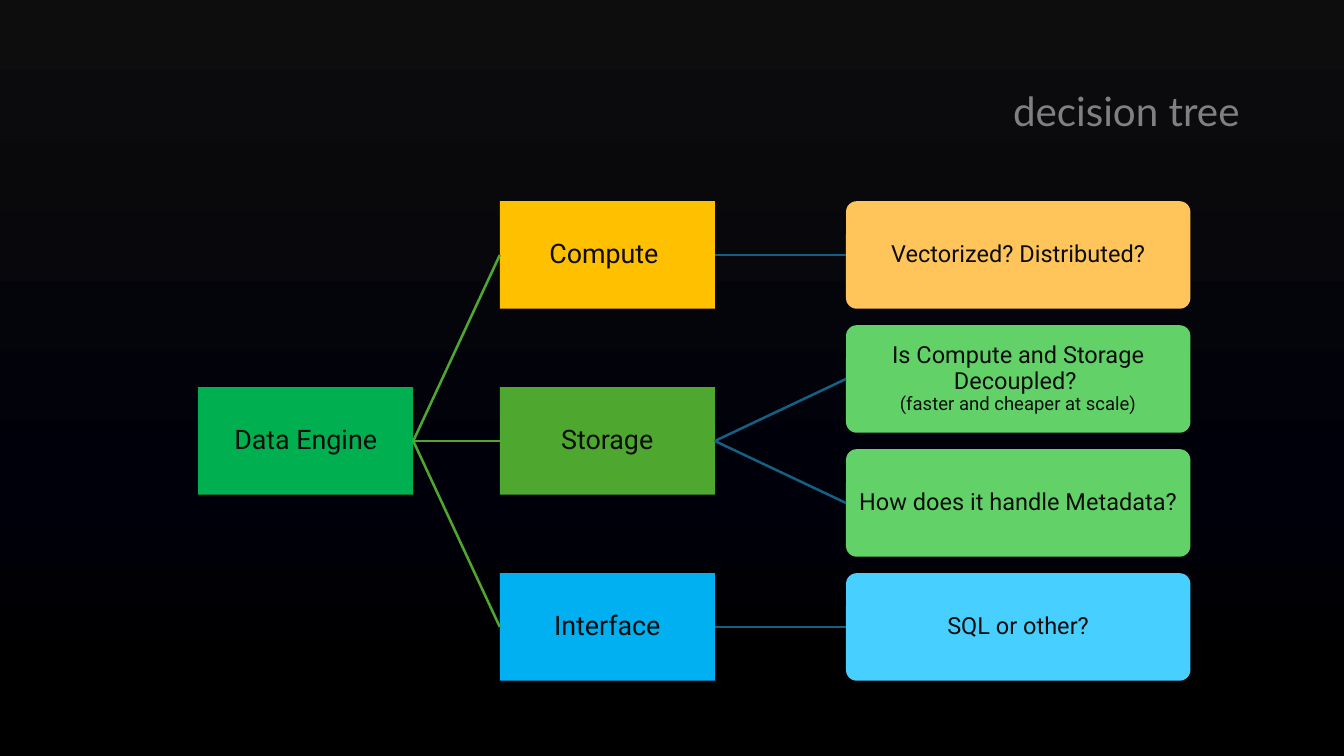
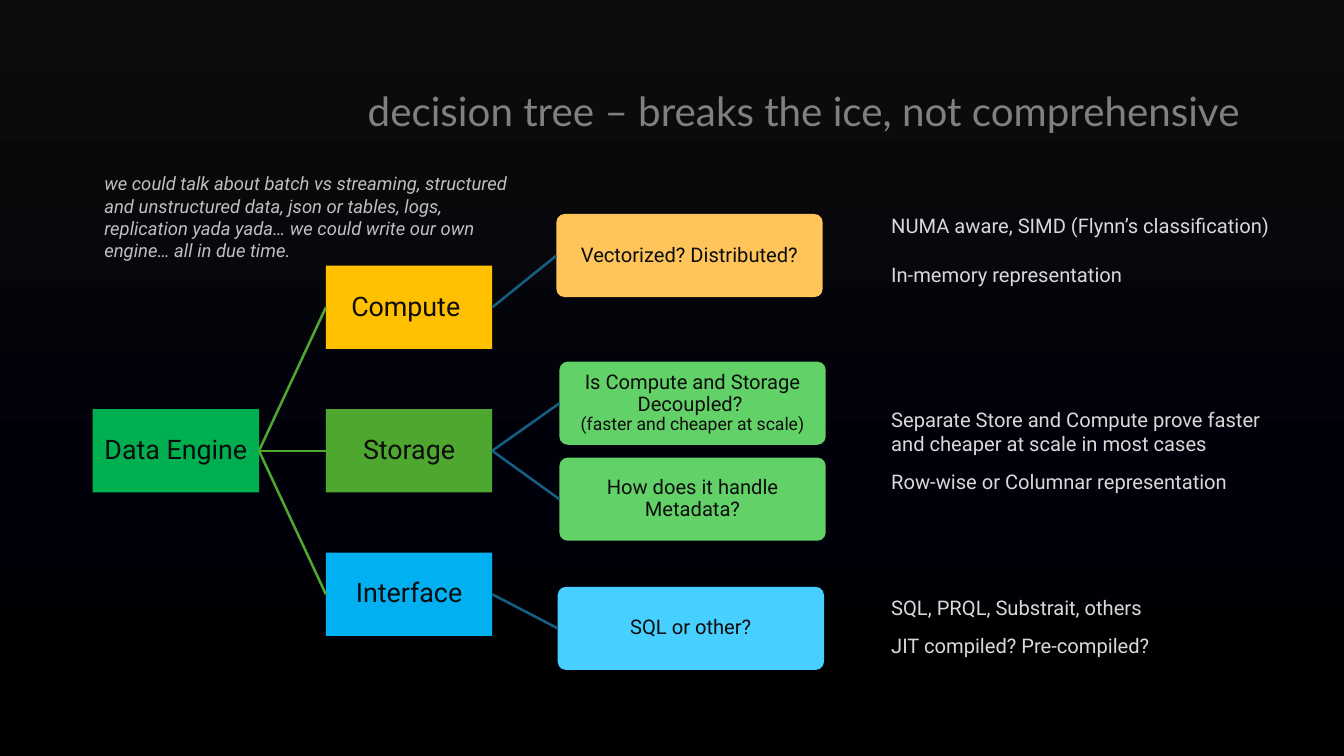
from copy import deepcopy
from lxml.etree import SubElement
from pptx import Presentation
from pptx.dml.color import RGBColor
from pptx.enum.shapes import MSO_CONNECTOR, MSO_SHAPE
from pptx.enum.text import MSO_ANCHOR, PP_ALIGN
from pptx.oxml.ns import qn
from pptx.util import Pt

HUES = {
    "top": "0D0D0D", "mid": "00000A", "low": "000000",
    "title": "808080", "ink": "0D0D0D", "note": "D9D9D9", "aside": "BFBFBF",
    "root": "00B050", "compute": "FFC000", "storage": "4EA72E", "face": "00B0F0",
    "amber": "FFC55B", "mint": "62D268", "sky": "47CFFF",
    "stem": "4EA72E", "twig": "156082",
}
SCALE = "(faster and cheaper at scale)"
# Each branch: label, fill, leaves; each leaf: text, fill, small print
TREE = [
    ("Compute ", "compute", [("Vectorized? Distributed?", "amber", "")]),
    ("Storage", "storage", [
        ("Is Compute and Storage Decoupled? ", "mint", SCALE),
        ("How does it handle Metadata?", "mint", ""),
    ]),
    ("Interface", "face", [("SQL or other?", "sky", "")]),
]


def color(name):
    return RGBColor.from_string(HUES[name])


def apply(item, form):
    for key, value in form.items():
        setattr(item, key, value)


class Deck:
    def __init__(self):
        self.file = Presentation()
        apply(self.file, {"slide_width": Pt(800), "slide_height": Pt(450)})
        self.slide = None
        self.paint()

    def paint(self):
        """Give the master its dark gradient."""
        fill = self.file.slide_masters[0].background.fill
        fill.gradient()
        fill.gradient_angle = 270
        first = fill.gradient_stops[0]._gs
        first.addnext(deepcopy(first))
        for stop, name, spot in zip(fill.gradient_stops, ("top", "mid", "low"), (0, 0.65, 0.9)):
            stop.color.rgb = color(name)
            stop.position = spot

    def page(self, title):
        self.slide = self.file.slides.add_slide(self.file.slide_layouts[5])
        head = self.slide.shapes.title
        apply(head, {"left": Pt(55), "top": Pt(24), "width": Pt(690), "height": Pt(87)})
        head.text_frame.vertical_anchor = MSO_ANCHOR.MIDDLE
        para = head.text_frame.paragraphs[0]
        apply(para, {"alignment": PP_ALIGN.RIGHT, "line_spacing": 0.9})
        self.run(para, title, 24, "title", name="Lato")

    def run(self, para, text, size, hue, **form):
        run = para.add_run()
        run.text = text
        apply(run.font, {"name": "Roboto", "size": Pt(size), **form})
        run.font.color.rgb = color(hue)

    def box(self, spot, text, hue, size, small="", tiny=11, leaf=False):
        kind = MSO_SHAPE.ROUNDED_RECTANGLE if leaf else MSO_SHAPE.RECTANGLE
        shape = self.slide.shapes.add_shape(kind, *map(Pt, spot))
        if leaf:
            shape.adjustments[0] = 0.1
        shape.shadow.inherit = False
        shape.fill.solid()
        shape.fill.fore_color.rgb = color(hue)
        shape.line.fill.background()
        frame = shape.text_frame
        sides = ("left", "right", "top", "bottom")
        apply(frame, {f"margin_{side}": Pt(0.7) for side in sides})
        apply(frame, {"word_wrap": True, "vertical_anchor": MSO_ANCHOR.MIDDLE})
        para = frame.paragraphs[0]
        apply(para, {"alignment": PP_ALIGN.CENTER, "line_spacing": 0.9})
        self.run(para, text, size, "ink")
        if small:
            para.add_line_break()
            self.run(para, small, tiny, "ink")
        return shape

    def link(self, start, end, hue):
        """Join the right side of one box to the left side of another."""
        line = self.slide.shapes.add_connector(MSO_CONNECTOR.STRAIGHT, 0, 0, 0, 0)
        line.begin_connect(start, 3)
        line.end_connect(end, 1)
        line.line.color.rgb = color(hue)
        line.line.width = Pt(1.5)
        SubElement(line._element.spPr, qn("a:effectLst"))

    def note(self, spot, texts, anchor, size=12, hue="note", gap=8.3, **form):
        frame = self.slide.shapes.add_textbox(*map(Pt, spot)).text_frame
        apply(frame, {"word_wrap": True, "vertical_anchor": anchor})
        for index, text in enumerate(texts):
            para = frame.add_paragraph() if index else frame.paragraphs[0]
            para.space_before = Pt(gap if index else 8.3)
            self.run(para, text, size, hue, **form)

    def tree(self, root, branch, tops, leaves, wide, tall, span, size, tiny):
        """Draw the tree; root and branch are left edges, leaves are (left, top)."""
        base = self.box((root, tops[1], wide, tall), "Data Engine", "root", 16)
        spots = iter(leaves)
        for top, (label, hue, items) in zip(tops, TREE):
            node = self.box((branch, top, wide, tall), label, hue, 16)
            self.link(base, node, "stem")
            for text, tint, small in items:
                spot = (*next(spots), span, tall)
                leaf = self.box(spot, text, tint, size, small, tiny, leaf=True)
                self.link(node, leaf, "twig")


def main():
    deck = Deck()
    deck.page("decision tree")
    first, step = 119.8, 73.8
    deck.tree(root=118, branch=297.5, tops=[first + step * n for n in (0, 1.5, 3)],
              leaves=[(503.6, first + step * n) for n in range(4)],
              wide=128, tall=64, span=205, size=14, tiny=11)

    deck.page("decision tree – breaks the ice, not comprehensive")
    deck.tree(root=55.2, branch=194, tops=[158.2 + 85.4 * n for n in range(3)],
              leaves=[(331.2, 127.4), (333, 215.3), (333, 272.4), (332, 349.3)],
              wide=99, tall=49.5, span=158.5, size=12, tiny=10.5)
    left, wide = 523.4, 253.4
    deck.note((left, 118, wide, 61.2),
              ["NUMA aware, SIMD (Flynn’s classification)", "In-memory representation"],
              MSO_ANCHOR.MIDDLE, gap=14.6)
    deck.note((left, 216.7, wide, 103),
              ["Separate Store and Compute prove faster and cheaper at scale in most cases",
               "Row-wise or Columnar representation"], MSO_ANCHOR.MIDDLE)
    deck.note((left, 347, wide, 48.2),
              ["SQL, PRQL, Substrait, others", "JIT compiled? Pre-compiled?"],
              MSO_ANCHOR.BOTTOM)
    deck.note((55, 95, 258.5, 64),
              ["we could talk about batch vs streaming, structured and unstructured data, "
               "json or tables, logs, replication yada yada… we could write our own "
               "engine… all in due time."],
              MSO_ANCHOR.BOTTOM, size=11, hue="aside", italic=True)
    deck.file.save("out.pptx")


if __name__ == "__main__":
    main()
